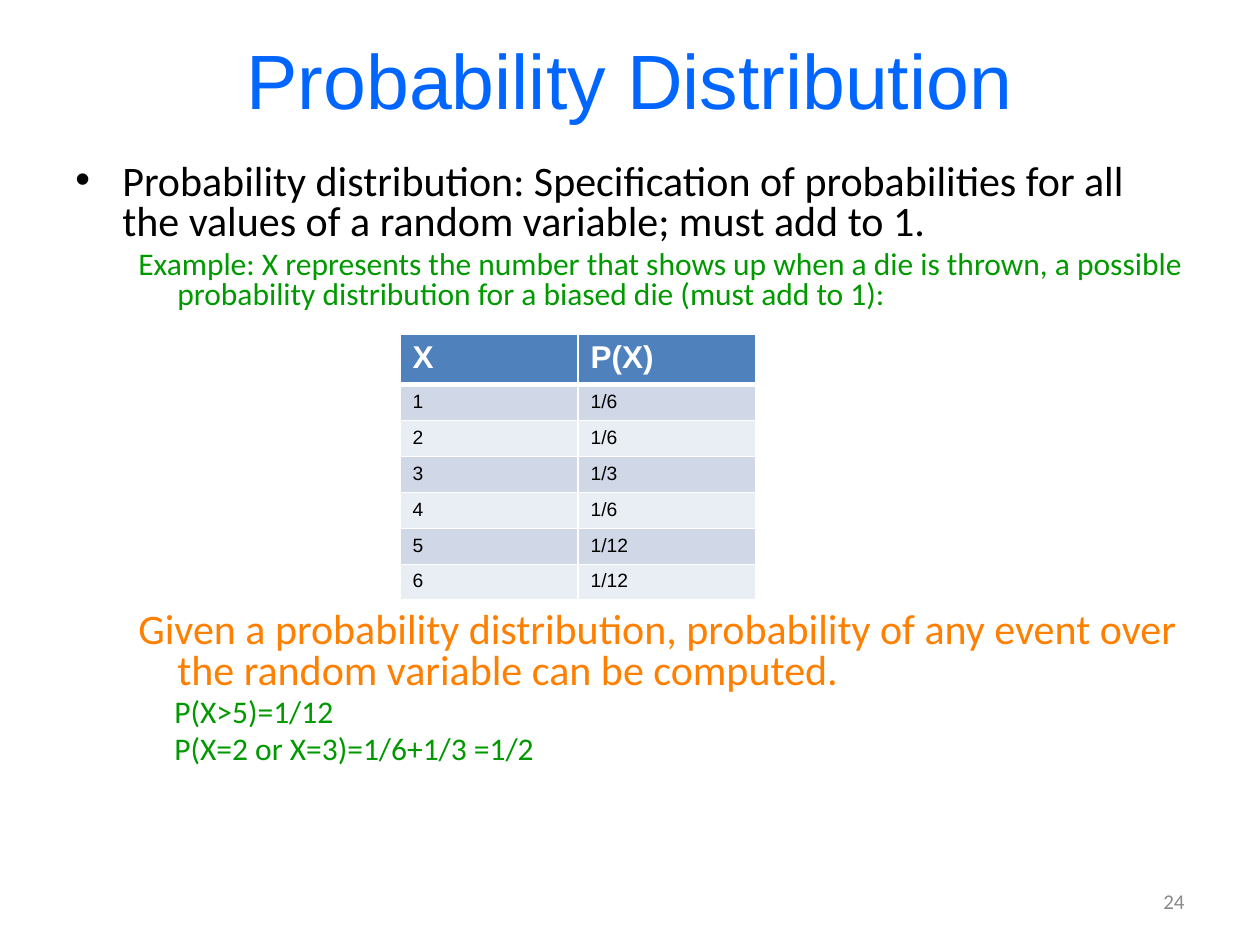
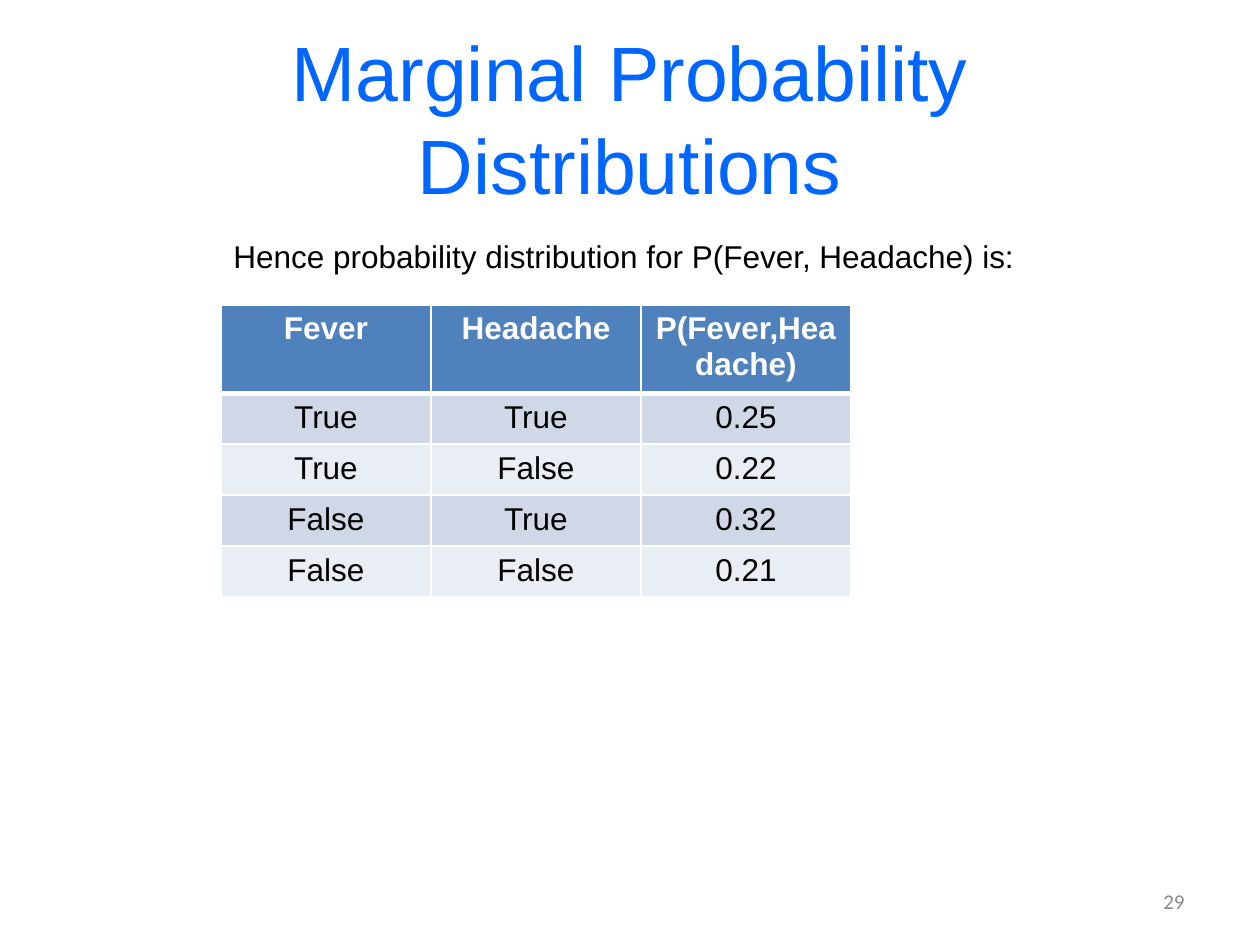
from dataclasses import dataclass

from lxml.etree import SubElement
from pptx import Presentation
from pptx.dml.color import RGBColor
from pptx.enum.text import MSO_ANCHOR, MSO_AUTO_SIZE, PP_ALIGN
from pptx.oxml.ns import qn
from pptx.util import Pt

PX = 914400 / 126
SLIDE_WIDTH, SLIDE_HEIGHT = 1260, 945


@dataclass(frozen=True)
class Theme:
    title: str = "0066FF"
    text: str = "000000"
    example: str = "009900"
    conclusion: str = "FF8000"
    page_number: str = "898989"
    white: str = "FFFFFF"
    header_fill: str = "4F81BD"
    band_fills: tuple = ("D0D8E8", "E9EDF4")
    heading_font: str = "Arial"
    body_font: str = "Calibri"
    title_size: int = 44
    lead_size: int = 24
    detail_size: int = 18
    page_size: int = 12
    small_cell_size: int = 11


THEME = Theme()


def px(length):
    return round(length * PX)


def add_run(paragraph, text, font, size, color, bold=False):
    run = paragraph.add_run()
    run.text = text
    run.font.name = font
    run.font.size = Pt(size)
    run.font.bold = bold
    run.font.color.rgb = RGBColor.from_string(color)


def add_text_frame(slide, box, anchor=MSO_ANCHOR.TOP, wrap=True):
    frame = slide.shapes.add_textbox(*map(px, box)).text_frame
    frame.word_wrap = wrap
    frame.vertical_anchor = anchor
    return frame


def add_title(slide, text, top):
    frame = add_text_frame(slide, (63, top, 1134, 158), MSO_ANCHOR.MIDDLE)
    title = frame.paragraphs[0]
    title.alignment = PP_ALIGN.CENTER
    add_run(title, text, THEME.heading_font, THEME.title_size, THEME.title)


def add_page_number(slide, number):
    frame = add_text_frame(slide, (903, 876, 294, 50), MSO_ANCHOR.MIDDLE)
    page = frame.paragraphs[0]
    page.alignment = PP_ALIGN.RIGHT
    add_run(page, str(number), THEME.body_font, THEME.page_size, THEME.page_number)


def add_caption(slide, box, text):
    frame = add_text_frame(slide, box, wrap=False)
    frame.auto_size = MSO_AUTO_SIZE.SHAPE_TO_FIT_TEXT
    add_run(frame.paragraphs[0], text, THEME.heading_font, THEME.detail_size, THEME.text)


def add_body(slide, box, entries):
    """Write entries of (text, size, color, margin, indent, space before, bullet)."""
    frame = add_text_frame(slide, box)
    for position, (text, size, color, margin, indent, before, bullet) in enumerate(entries):
        paragraph = frame.add_paragraph() if position else frame.paragraphs[0]
        properties = paragraph._p.get_or_add_pPr()
        properties.set("marL", str(px(margin)))
        properties.set("indent", str(px(indent)))
        if bullet:
            SubElement(properties, qn("a:buFont")).set("typeface", "Arial")
            SubElement(properties, qn("a:buChar")).set("char", bullet)
        paragraph.line_spacing = 0.8
        if position:
            paragraph.space_before = Pt(before)
        add_run(paragraph, text, THEME.body_font, size, color)


def set_borders(cell, top, bottom):
    """Draw white cell borders; top and bottom widths are in points."""
    properties = cell._tc.get_or_add_tcPr()
    for side, width in (("L", 1), ("R", 1), ("T", top), ("B", bottom)):
        line = SubElement(properties, qn(f"a:ln{side}"))
        line.set("w", str(Pt(width)))
        fill = SubElement(line, qn("a:solidFill"))
        SubElement(fill, qn("a:srgbClr")).set("val", THEME.white)


def add_probability_table(slide, origin, column_width, header_height, row_height,
                          rows, cell_size, alignment):
    column_count = len(rows[0])
    height = header_height + row_height * (len(rows) - 1)
    box = (*origin, column_width * column_count, height)
    table = slide.shapes.add_table(len(rows), column_count, *map(px, box)).table
    table.first_row = table.horz_banding = False
    for column in table.columns:
        column.width = px(column_width)
    for row, values in enumerate(rows):
        is_header = row == 0
        table.rows[row].height = px(header_height if is_header else row_height)
        fill = THEME.header_fill if is_header else THEME.band_fills[(row - 1) % 2]
        for column, value in enumerate(values):
            cell = table.cell(row, column)
            set_borders(cell, top=3 if row == 1 else 1, bottom=3 if is_header else 1)
            cell.fill.solid()
            cell.fill.fore_color.rgb = RGBColor.from_string(fill)
            paragraph = cell.text_frame.paragraphs[0]
            paragraph.alignment = alignment
            add_run(paragraph, value, THEME.heading_font,
                    THEME.detail_size if is_header else cell_size,
                    THEME.white if is_header else THEME.text, is_header)


def add_distribution_slide(slide):
    add_title(slide, "Probability Distribution", 0)
    lead, detail = THEME.lead_size, THEME.detail_size
    add_body(slide, (63, 158, 1134, 746), [
        ("Probability distribution: Specification of probabilities for all the values "
         "of a random variable; must add to 1.", lead, THEME.text, 47, -47, 0, "•"),
        ("Example: X represents the number that shows up when a die is thrown, a possible "
         "probability distribution for a biased die (must add to 1):",
         detail, THEME.example, 102, -39, 3.6, None),
        ("Given a probability distribution, probability of any event over the random "
         "variable can be computed.", lead, THEME.conclusion, 102, -39, 172, None),
        ("P(X>5)=1/12", detail, THEME.example, 99, 0, 3.6, None),
        ("P(X=2 or X=3)=1/6+1/3 =1/2", detail, THEME.example, 99, 0, 3.6, None),
    ])
    add_probability_table(
        slide, (400, 334), 178, 49, 36,
        [("X", "P(X)"), ("1", "1/6"), ("2", "1/6"), ("3", "1/3"),
         ("4", "1/6"), ("5", "1/12"), ("6", "1/12")],
        THEME.small_cell_size, PP_ALIGN.LEFT)
    add_page_number(slide, 24)


def add_marginal_slide(slide):
    add_title(slide, "Marginal Probability Distributions", 38)
    add_page_number(slide, 29)
    add_probability_table(
        slide, (221, 305), 210, 88, 51,
        [("Fever", "Headache", "P(Fever,Headache)"), ("True", "True", "0.25"),
         ("True", "False", "0.22"), ("False", "True", "0.32"), ("False", "False", "0.21")],
        THEME.detail_size, PP_ALIGN.CENTER)
    add_caption(slide, (221, 231, 823, 50),
                "Hence probability distribution for P(Fever, Headache) is:")


def main():
    deck = Presentation()
    deck.slide_width, deck.slide_height = px(SLIDE_WIDTH), px(SLIDE_HEIGHT)
    blank = deck.slide_layouts[6]
    for fill_slide in (add_distribution_slide, add_marginal_slide):
        fill_slide(deck.slides.add_slide(blank))
    deck.save("out.pptx")


if __name__ == "__main__":
    main()
